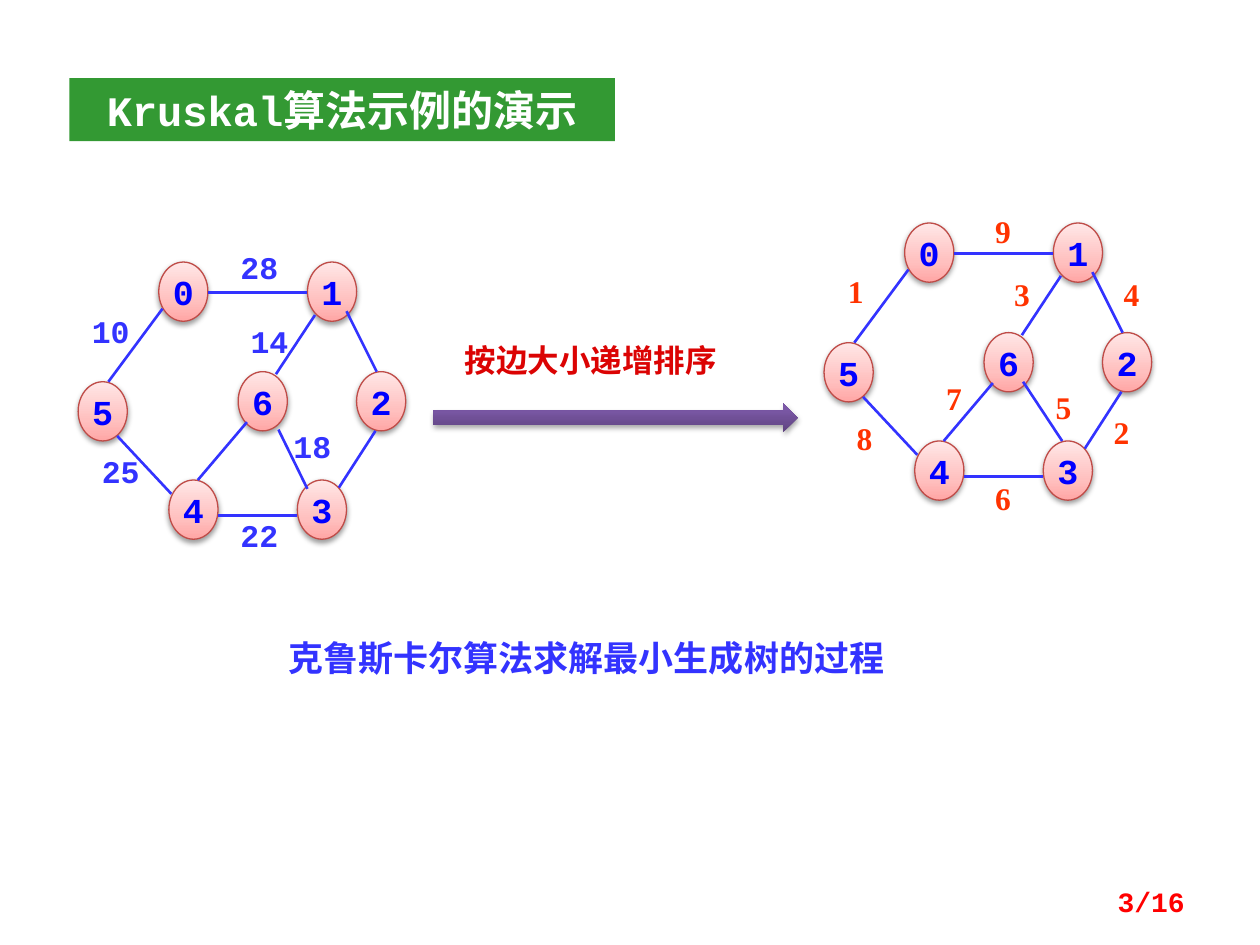
from lxml.etree import SubElement
from pptx import Presentation
from pptx.dml.color import RGBColor
from pptx.enum.shapes import MSO_CONNECTOR as CONNECTOR, MSO_SHAPE as SHAPE
from pptx.enum.text import MSO_ANCHOR as ANCHOR, PP_ALIGN as ALIGN
from pptx.oxml.ns import qn
from pptx.util import Inches, Pt

TITLE = "Kruskal算法示例的演示"
CAPTION = "克鲁斯卡尔算法求解最小生成树的过程"
STEP = "按边大小递增排序"
PAGE = "3/16"

COURIER, TIMES = "Courier New", "Times New Roman"
BLUE, ORANGE = "3333FF", "FF3300"
NODE_STOPS = [(0, "FFA6A5"), (35, "FFC0BF"), (100, "FFE7E7")]
ARROW_STOPS = [(0, "5F4480"), (80, "7B58A6"), (100, "7C57A8")]
NODE_W, NODE_H = 0.39, 0.47

NODES = {
    "0": (0.64, 0), "1": (1.82, 0), "5": (0, 0.95), "4": (0.72, 1.73),
    "3": (1.74, 1.73), "6": (1.27, 0.87), "2": (2.21, 0.87),
}
EDGES = [
    (1.03, 0.24, 1.82, 0.24), (0.67, 0.37, 0.24, 0.95),
    (0.31, 1.38, 0.74, 1.84), (1.11, 2.01, 1.74, 2.01),
    (0.95, 1.73, 1.34, 1.27), (1.88, 0.42, 1.57, 0.89),
    (2.13, 0.39, 2.37, 0.87), (2.36, 1.34, 2.07, 1.79),
]
GRAPHS = [
    {
        "origin": (6.54, 1.77), "edge_6_3": (1.58, 1.26, 1.89, 1.73),
        "label_width": 0.31,
        "label_format": dict(font=TIMES, color=ORANGE, align=ALIGN.CENTER),
        "labels": [
            ("1", 0.09, 0.34), ("2", 2.2, 1.46), ("3", 1.41, 0.36),
            ("8", 0.16, 1.51), ("6", 1.26, 1.98), ("7", 0.87, 1.19),
            ("9", 1.26, -0.14), ("5", 1.74, 1.26), ("4", 2.28, 0.36),
        ],
    },
    {
        "origin": (0.62, 2.08), "edge_6_3": (1.59, 1.33, 1.82, 1.8),
        "label_width": 0.55,
        "label_format": dict(font=COURIER, color=BLUE),
        "labels": [
            ("28", 1.19, -0.16), ("10", 0.01, 0.35), ("14", 1.27, 0.43),
            ("25", 0.09, 1.46), ("18", 1.61, 1.26), ("22", 1.19, 1.97),
        ],
    },
]


def rgb(value):
    return RGBColor.from_string(value)


def write(shape, text, *, font, color, size=18, align=ALIGN.LEFT,
          anchor=ANCHOR.TOP, wrap=True):
    frame = shape.text_frame
    frame.word_wrap = wrap
    frame.vertical_anchor = anchor
    paragraph = frame.paragraphs[0]
    paragraph.alignment = align
    run = paragraph.add_run()
    run.text = text
    run.font.name = font
    run.font.size = Pt(size)
    run.font.bold = True
    run.font.color.rgb = rgb(color)


def add_text(shapes, text, left, top, width, height=0.4, **style):
    box = shapes.add_textbox(*map(Inches, (left, top, width, height)))
    write(box, text, **style)


def add_color(parent, tag, value, **attributes):
    element = SubElement(parent, qn(tag), **attributes)
    return SubElement(element, qn("a:srgbClr"), val=value)


def add_glossy(shapes, kind, left, top, width, height, stops, opacity, distance):
    shape = shapes.add_shape(kind, *map(Inches, (left, top, width, height)))
    shape.fill.gradient()
    shape.fill.gradient_angle = 90
    properties = shape.element.spPr
    stop_list = properties.find(".//" + qn("a:gsLst"))
    for stop in list(stop_list):
        stop_list.remove(stop)
    for position, color in stops:
        add_color(stop_list, "a:gs", color, pos=str(position * 1000))
    shape.line.fill.background()
    shape.shadow.inherit = False
    shade = add_color(properties.find(qn("a:effectLst")), "a:outerShdw", "000000",
                      blurRad=str(Pt(3.1)), dist=str(Pt(distance)),
                      dir="5400000", rotWithShape="0")
    SubElement(shade, qn("a:alpha"), val=str(opacity * 1000))
    return shape


def add_edge(shapes, x1, y1, x2, y2):
    edge = shapes.add_connector(CONNECTOR.STRAIGHT, *map(Inches, (x1, y1, x2, y2)))
    edge.line.color.rgb = rgb(BLUE)
    edge.line.width = Pt(1.5)
    SubElement(edge.element.spPr, qn("a:effectLst"))


def add_graph(slide, graph):
    x, y = graph["origin"]
    shapes = slide.shapes.add_group_shape().shapes
    for name, (dx, dy) in NODES.items():
        node = add_glossy(shapes, SHAPE.OVAL, x + dx, y + dy, NODE_W, NODE_H,
                          NODE_STOPS, 38, 1.6)
        node.line.color.rgb = rgb("BF4C48")
        node.line.width = Pt(0.75)
        write(node, name, font=COURIER, color="0000FF", size=20,
              align=ALIGN.CENTER, anchor=ANCHOR.MIDDLE, wrap=False)
    for x1, y1, x2, y2 in EDGES + [graph["edge_6_3"]]:
        add_edge(shapes, x + x1, y + y1, x + x2, y + y2)
    for weight, dx, dy in graph["labels"]:
        add_text(shapes, weight, x + dx, y + dy, graph["label_width"],
                 **graph["label_format"])


def main():
    deck = Presentation()
    deck.slide_width, deck.slide_height = Inches(10), Inches(7.5)
    slide = deck.slides.add_slide(deck.slide_layouts[6])
    shapes = slide.shapes

    add_text(shapes, CAPTION, 2.19, 5, 6.07, 0.44, font=TIMES, color=BLUE, size=20)

    banner = shapes.add_shape(SHAPE.RECTANGLE, *map(Inches, (0.55, 0.62, 4.33, 0.5)))
    banner.fill.solid()
    banner.fill.fore_color.rgb = rgb("339933")
    banner.line.fill.background()
    banner.shadow.inherit = False
    write(banner, TITLE, font=COURIER, color="FFFFFF", size=24, align=ALIGN.CENTER)

    sorted_graph, weighted_graph = GRAPHS
    add_graph(slide, sorted_graph)
    add_text(shapes, STEP, 3.59, 2.66, 2.76, font=TIMES, color="DB0303")
    add_glossy(shapes, SHAPE.RIGHT_ARROW, 3.44, 3.2, 2.89, 0.23, ARROW_STOPS, 35, 1.8)
    add_graph(slide, weighted_graph)

    add_text(shapes, PAGE, 7.17, 6.95, 2.33, font=COURIER, color="FF0000", size=16,
             align=ALIGN.RIGHT, anchor=ANCHOR.MIDDLE)
    deck.save("out.pptx")


if __name__ == "__main__":
    main()
